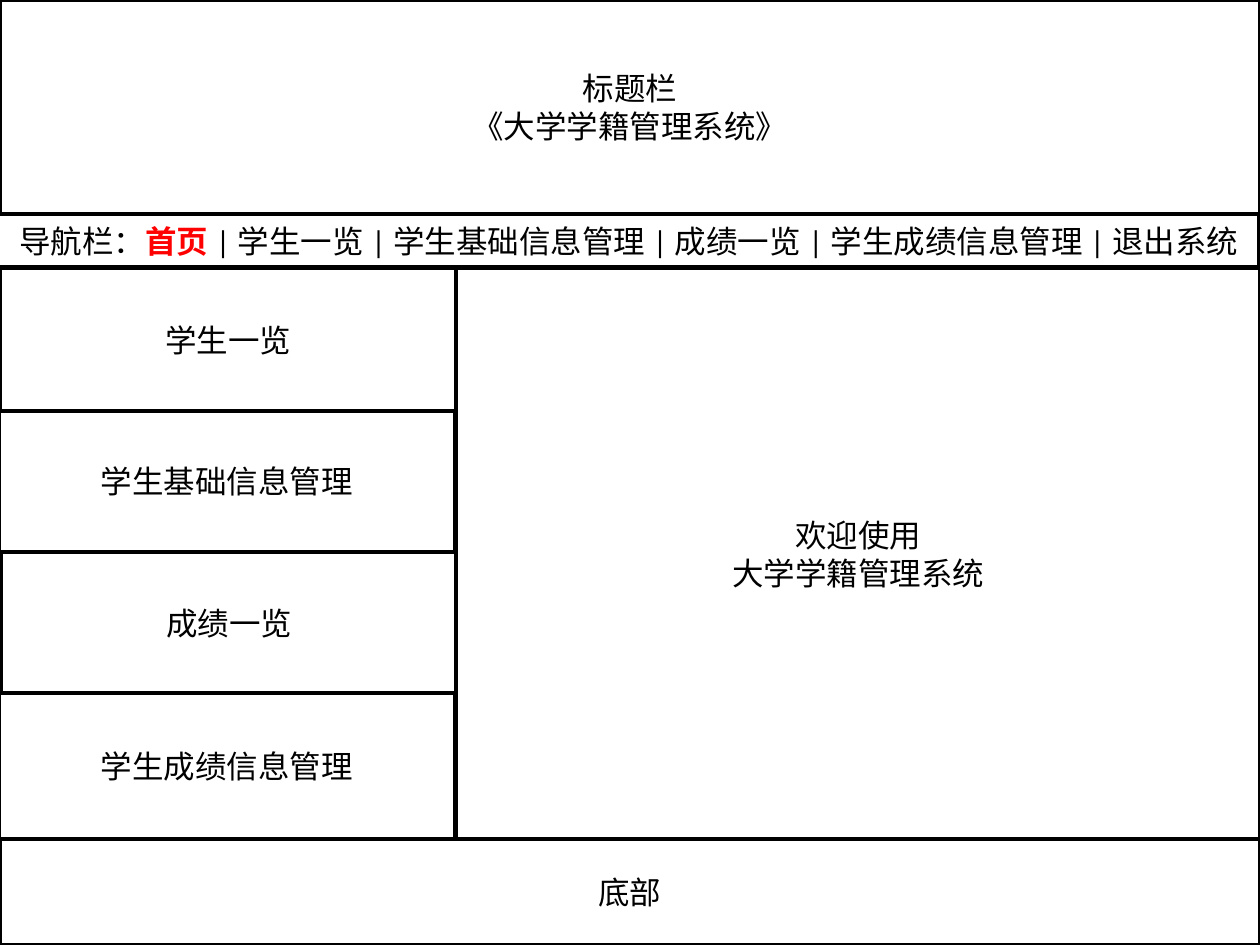
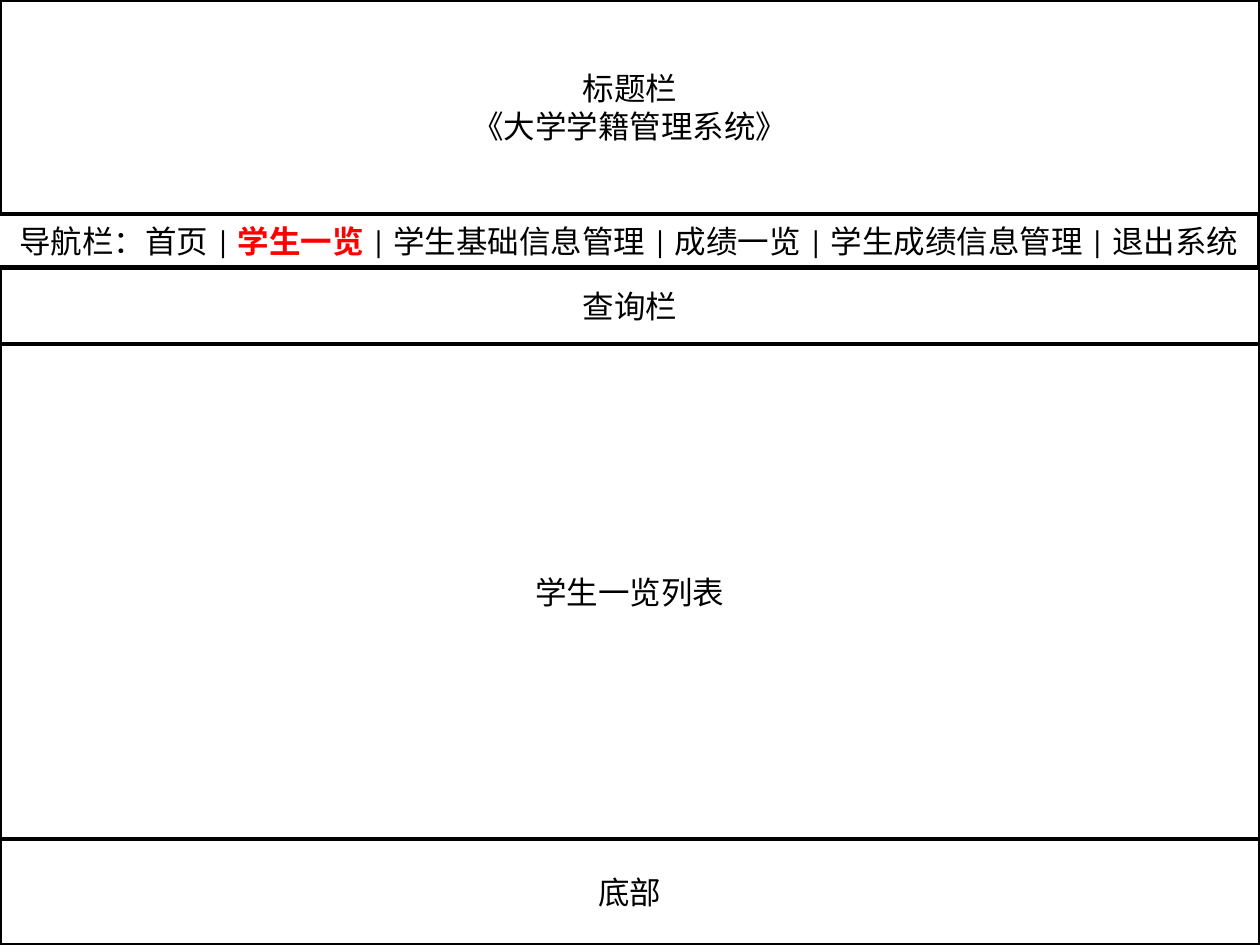
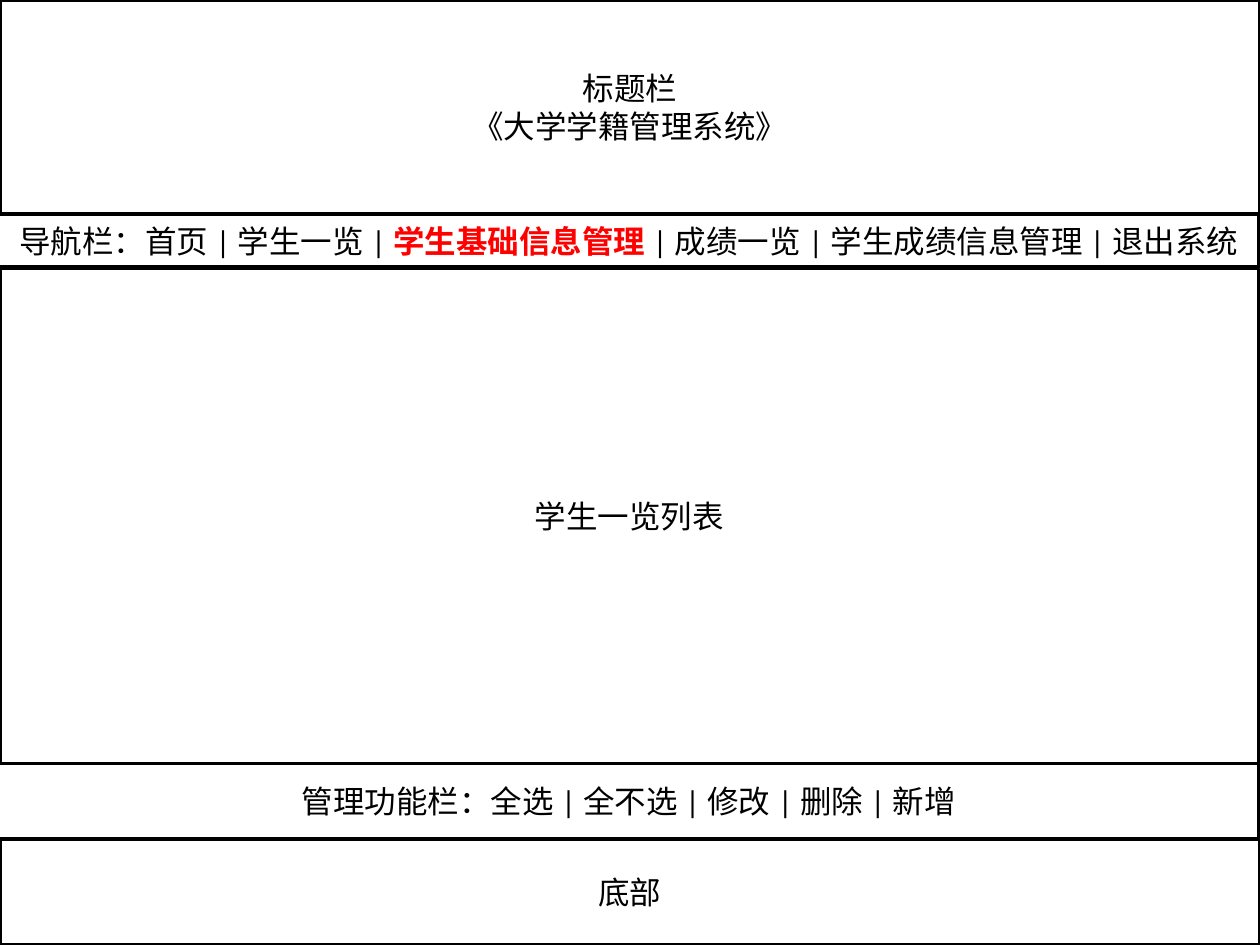
"""Builds three page wireframes for a student records system."""
from dataclasses import dataclass

from pptx import Presentation
from pptx.dml.color import RGBColor as Rgb
from pptx.enum.shapes import MSO_SHAPE as Shape
from pptx.enum.text import MSO_ANCHOR as Anchor, PP_ALIGN as Align
from pptx.util import Inches, Pt


@dataclass(frozen=True)
class Theme:
    font: str = "Calibri"
    size: int = 18
    border: int = 2
    ink: str = "000000"
    paper: str = "FFFFFF"
    active: str = "FF0000"


THEME = Theme()
WIDTH, HEIGHT = 10, 7.5
NAV_TOP, BODY_TOP, FOOTER_TOP = 1.7, 2.13, 6.66
NAV_HEIGHT, BAR_HEIGHT = 0.42, 0.6
NUDGE = 0.01
MENU_WIDTH = 3.62
MENU_EDGES = (BODY_TOP, 3.26, 4.38, 5.5, FOOTER_TOP)
MENU_LEFTS = (0, -NUDGE, NUDGE, -NUDGE)
QUERY_BOTTOM = BODY_TOP + BAR_HEIGHT
TOOLS_TOP = FOOTER_TOP - BAR_HEIGHT

SYSTEM = "大学学籍管理系统"
HEADER = ("标题栏", f"《{SYSTEM}》")
FOOTER = "底部"
NAV_LABEL = "导航栏："
NAV_ITEMS = ("首页", "学生一览", "学生基础信息管理", "成绩一览", "学生成绩信息管理", "退出系统")
MENU = NAV_ITEMS[1:-1]
WELCOME = ("欢迎使用", SYSTEM)
QUERY = "查询栏"
STUDENT_LIST = "学生一览列表"
TOOLS = "管理功能栏：" + "|".join(("全选", "全不选", "修改", "删除", "新增"))

HOME_PANELS = [
    ((label,), left, top, MENU_WIDTH, bottom - top)
    for label, left, top, bottom in zip(MENU, MENU_LEFTS, MENU_EDGES, MENU_EDGES[1:])
] + [(WELCOME, MENU_WIDTH, BODY_TOP, WIDTH - MENU_WIDTH, FOOTER_TOP - BODY_TOP)]

PAGES = (
    ("首页", HOME_PANELS),
    ("学生一览", [
        ((QUERY,), 0, BODY_TOP, WIDTH, BAR_HEIGHT),
        ((STUDENT_LIST,), 0, QUERY_BOTTOM, WIDTH, FOOTER_TOP - QUERY_BOTTOM),
    ]),
    ("学生基础信息管理", [
        ((STUDENT_LIST,), 0, BODY_TOP, WIDTH - NUDGE, TOOLS_TOP - BODY_TOP),
        ((TOOLS,), -NUDGE, TOOLS_TOP, WIDTH, BAR_HEIGHT),
    ]),
)


def write(paragraph, text, color=THEME.ink, bold=False):
    run = paragraph.add_run()
    run.text = text
    run.font.name = THEME.font
    run.font.size = Pt(THEME.size)
    run.font.bold = bold
    run.font.color.rgb = Rgb.from_string(color)


def add_panel(slide, lines, left, top, width, height):
    panel = slide.shapes.add_shape(
        Shape.RECTANGLE, *(Inches(length) for length in (left, top, width, height)))
    panel.shadow.inherit = False
    panel.fill.solid()
    panel.fill.fore_color.rgb = Rgb.from_string(THEME.paper)
    panel.line.color.rgb = Rgb.from_string(THEME.ink)
    panel.line.width = Pt(THEME.border)
    frame = panel.text_frame
    frame.word_wrap = True
    frame.vertical_anchor = Anchor.MIDDLE
    for index, line in enumerate(lines):
        paragraph = frame.add_paragraph() if index else frame.paragraphs[0]
        paragraph.alignment = Align.CENTER
        write(paragraph, line)
    return frame.paragraphs[0]


def add_navigation(slide, active):
    before, after = "|".join(NAV_ITEMS).split(f"|{active}|") if active != NAV_ITEMS[0] else (
        "", "|".join(NAV_ITEMS[1:]))
    lead = NAV_LABEL + (f"{before}|" if before else "")
    navigation = add_panel(slide, (lead,), -NUDGE, NAV_TOP, WIDTH, NAV_HEIGHT)
    write(navigation, active, color=THEME.active, bold=True)
    write(navigation, f"|{after}")


def build():
    deck = Presentation()
    deck.slide_width, deck.slide_height = Inches(WIDTH), Inches(HEIGHT)
    for active, panels in PAGES:
        slide = deck.slides.add_slide(deck.slide_layouts[6])
        add_panel(slide, HEADER, 0, 0, WIDTH, NAV_TOP)
        add_panel(slide, (FOOTER,), 0, FOOTER_TOP, WIDTH, HEIGHT - FOOTER_TOP)
        add_navigation(slide, active)
        for panel in panels:
            add_panel(slide, *panel)
    deck.save("out.pptx")


build()
